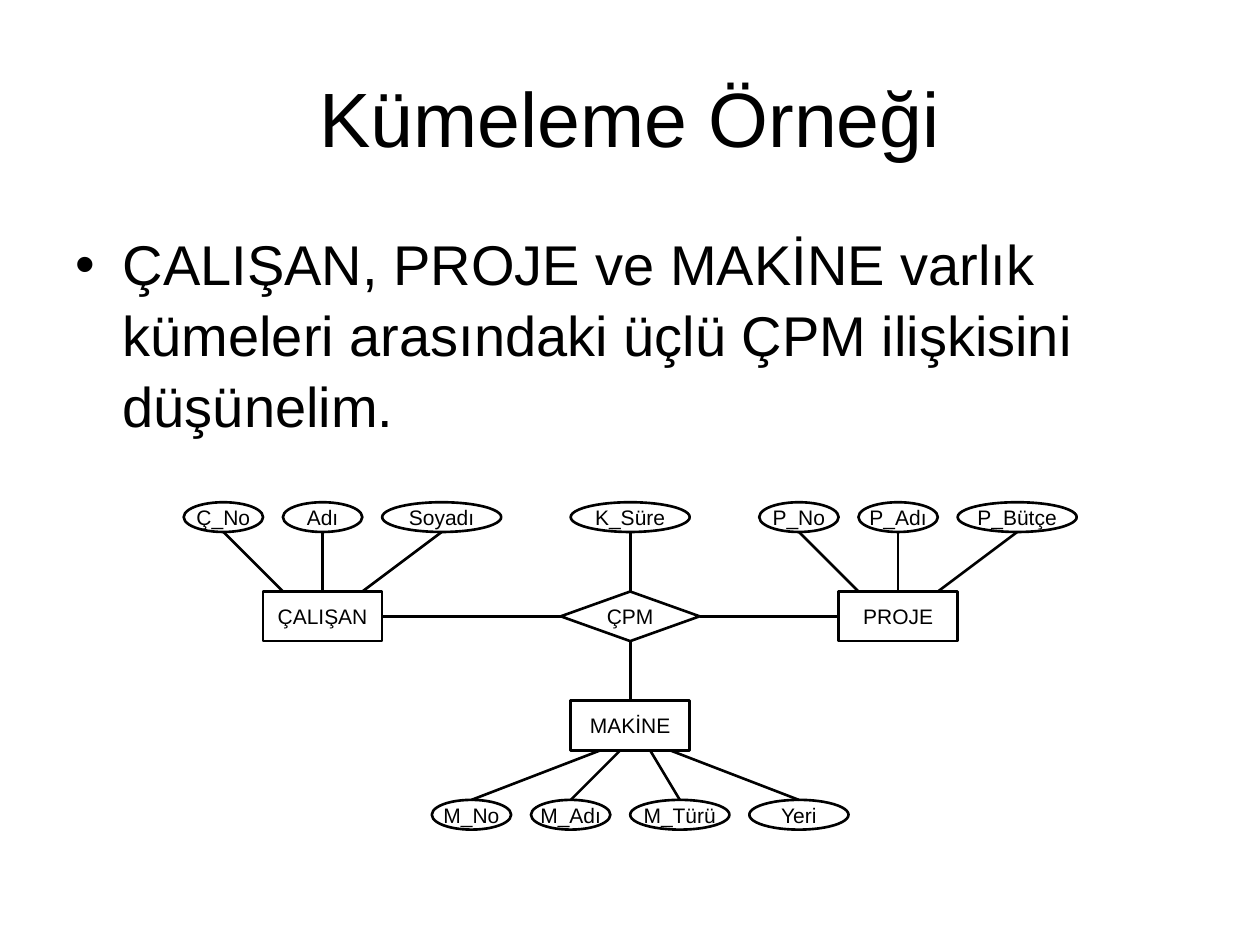
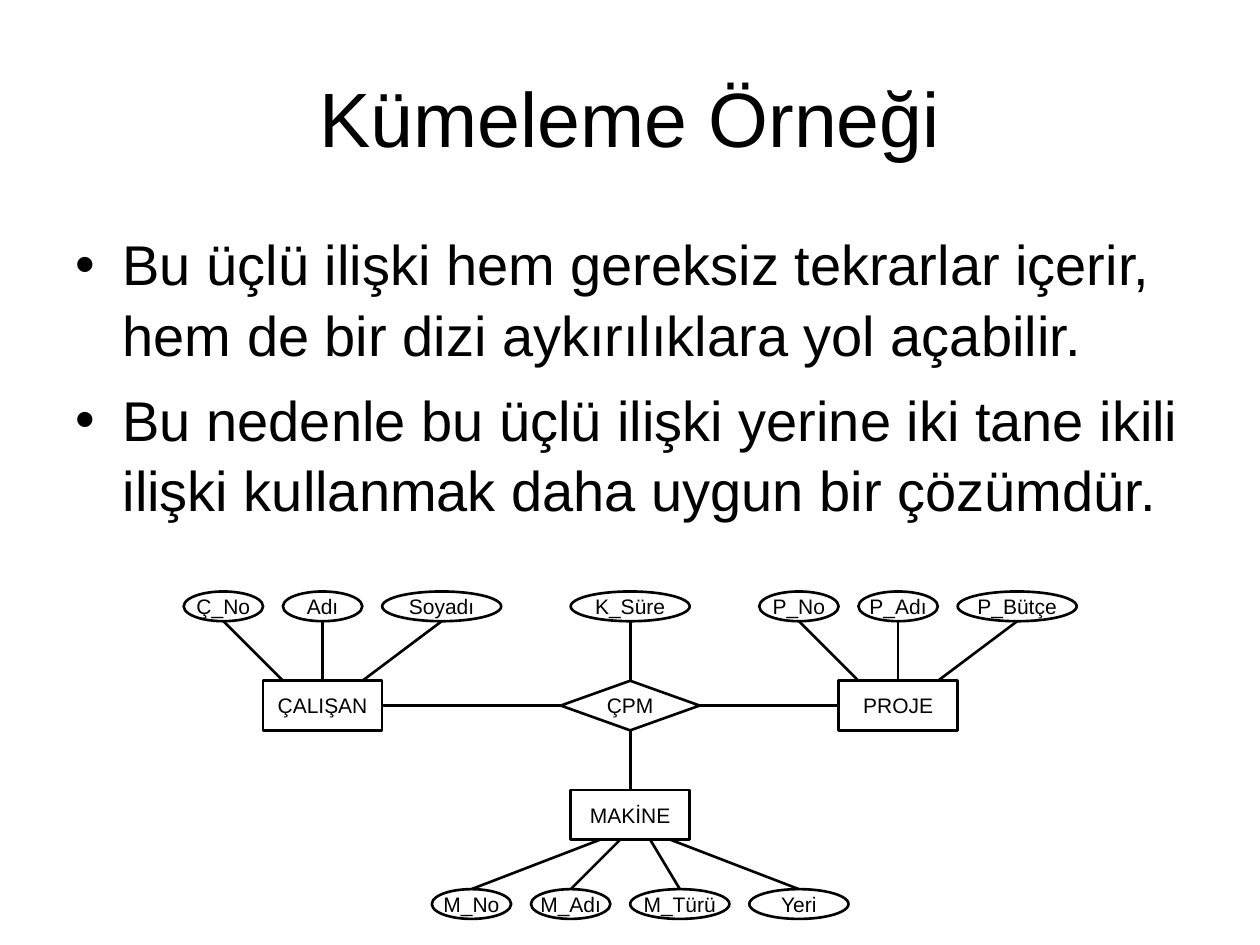
from lxml import etree
from pptx import Presentation
from pptx.dml.color import RGBColor
from pptx.enum import shapes, text
from pptx.oxml import ns
from pptx.util import Pt

COLORS = {"ink": "000000"}
INK = RGBColor.from_string(COLORS["ink"])
FONT = "Arial"
TITLE = "Kümeleme Örneği"
TITLE_BOX = (36, 21.6, 648, 90)
BODY_LEFT, BODY_TOP, BODY_WIDTH = 36, 126, 648
HANGING_INDENT = 27
DIAGRAM_LEFT = 105

# The diagram sits on a square grid; its numbers below count grid cells.
CELL = 5.67
ATTRIBUTE_HEIGHT, ATTRIBUTE_GAP = 3, 2
ENTITY_WIDTH, ENTITY_HEIGHT = 12, 5
RELATION_WIDTH = 14
TOP_ATTRIBUTES, ENTITY_ROW, MACHINE_ROW, BOTTOM_ATTRIBUTES = 0, 9, 20, 30
CENTER = 45
TOP, LEFT, BOTTOM, RIGHT = range(4)

SLIDES = [
    {"bullets": ["ÇALIŞAN, PROJE ve MAKİNE varlık kümeleri arasındaki üçlü "
                 "ÇPM ilişkisini düşünelim."],
     "body_height": 132.5, "diagram_top": 287},
    {"bullets": ["Bu üçlü ilişki hem gereksiz tekrarlar içerir, hem de bir "
                 "dizi aykırılıklara yol açabilir.",
                 "Bu nedenle bu üçlü ilişki yerine iki tane ikili ilişki "
                 "kullanmak daha uygun bir çözümdür."],
     "body_height": 211.7, "diagram_top": 338},
]


def place(shape, box):
    shape.left, shape.top, shape.width, shape.height = map(Pt, box)


def add_run(paragraph, words, size):
    run = paragraph.add_run()
    run.text = words
    run.font.name = FONT
    run.font.size = Pt(size)
    run.font.color.rgb = INK


def add_bullet(paragraph):
    properties = paragraph._p.get_or_add_pPr()
    properties.set("marL", str(Pt(HANGING_INDENT)))
    properties.set("indent", str(-Pt(HANGING_INDENT)))
    color = etree.SubElement(properties, ns.qn("a:buClr"))
    etree.SubElement(color, ns.qn("a:srgbClr"), val=COLORS["ink"])
    etree.SubElement(properties, ns.qn("a:buFont"), typeface=FONT)
    etree.SubElement(properties, ns.qn("a:buChar"), char="•")


def write_title(slide, box):
    title = slide.shapes.title
    place(title, box)
    title.text_frame.vertical_anchor = text.MSO_ANCHOR.MIDDLE
    paragraph = title.text_frame.paragraphs[0]
    paragraph.alignment = text.PP_ALIGN.CENTER
    add_run(paragraph, TITLE, 44)


def write_body(slide, box, bullets):
    frame = slide.shapes.add_textbox(*map(Pt, box)).text_frame
    frame.word_wrap = True
    for index, words in enumerate(bullets):
        paragraph = frame.add_paragraph() if index else frame.paragraphs[0]
        paragraph.space_before = Pt(8)
        paragraph.line_spacing = 1.05
        add_bullet(paragraph)
        add_run(paragraph, words, 32)


class Diagram:
    """Draws an entity-relationship diagram on a grid from its top left corner."""

    def __init__(self, slide, left, top):
        self.shapes = slide.shapes.add_group_shape().shapes
        self.left, self.top = left, top

    def point(self, column, row):
        return Pt(self.left + column * CELL), Pt(self.top + row * CELL)

    def node(self, kind, words, column, row, width, height):
        shape = self.shapes.add_shape(kind, *self.point(column, row),
                                      Pt(width * CELL), Pt(height * CELL))
        shape.shadow.inherit = False
        shape.fill.background()
        shape.line.color.rgb = INK
        shape.line.width = Pt(1.5)
        frame = shape.text_frame
        frame.word_wrap = False
        frame.vertical_anchor = text.MSO_ANCHOR.MIDDLE
        paragraph = frame.paragraphs[0]
        paragraph.alignment = text.PP_ALIGN.CENTER
        add_run(paragraph, words, 12)
        return shape

    def entity(self, words, column, row):
        return self.node(shapes.MSO_SHAPE.FLOWCHART_PROCESS, words,
                         column, row, ENTITY_WIDTH, ENTITY_HEIGHT)

    def line(self, start=(0, 0), end=(0, 0), start_site=None, end_site=None):
        """Join two grid points; a (shape, side) site replaces its point."""
        connector = self.shapes.add_connector(
            shapes.MSO_CONNECTOR.STRAIGHT, *self.point(*start), *self.point(*end))
        if start_site:
            connector.begin_connect(*start_site)
        if end_site:
            connector.end_connect(*end_site)
        connector.line.color.rgb = INK
        connector.line.width = Pt(1.5)
        etree.SubElement(connector._element.spPr, ns.qn("a:effectLst"))

    def attributes(self, owner, owner_column, owner_row, column, row, items):
        """Lay out ovals (name, width, joint on the owner's side) and join them."""
        above = row < owner_row
        oval_edge = row + ATTRIBUTE_HEIGHT if above else row
        owner_edge = owner_row if above else owner_row + ENTITY_HEIGHT
        side = TOP if above else BOTTOM
        for name, width, joint in items:
            self.node(shapes.MSO_SHAPE.OVAL, name, column, row,
                      width, ATTRIBUTE_HEIGHT)
            middle = joint == ENTITY_WIDTH / 2
            self.line((column + width / 2, oval_edge),
                      (owner_column + joint, owner_edge),
                      end_site=(owner, side) if middle else None)
            column += width + ATTRIBUTE_GAP


def draw_diagram(slide, left, top):
    diagram = Diagram(slide, left, top)
    center_column = CENTER - ENTITY_WIDTH / 2
    relation = diagram.node(shapes.MSO_SHAPE.FLOWCHART_DECISION, "ÇPM",
                            CENTER - RELATION_WIDTH / 2, ENTITY_ROW,
                            RELATION_WIDTH, ENTITY_HEIGHT)
    employee = diagram.entity("ÇALIŞAN", 8, ENTITY_ROW)
    project = diagram.entity("PROJE", 66, ENTITY_ROW)
    machine = diagram.entity("MAKİNE", center_column, MACHINE_ROW)

    for entity, entity_side, relation_side in (
            (employee, RIGHT, LEFT), (project, LEFT, RIGHT), (machine, TOP, BOTTOM)):
        diagram.line(start_site=(entity, entity_side),
                     end_site=(relation, relation_side))

    diagram.attributes(employee, 8, ENTITY_ROW, 0, TOP_ATTRIBUTES,
                       [("Ç_No", 8, 2), ("Adı", 8, 6), ("Soyadı", 12, 10)])
    diagram.attributes(project, 66, ENTITY_ROW, 58, TOP_ATTRIBUTES,
                       [("P_No", 8, 2), ("P_Adı", 8, 6), ("P_Bütçe", 12, 10)])
    diagram.attributes(relation, center_column, ENTITY_ROW, center_column,
                       TOP_ATTRIBUTES, [("K_Süre", 12, 6)])
    diagram.attributes(machine, center_column, MACHINE_ROW, 25, BOTTOM_ATTRIBUTES,
                       [("M_No", 8, 3), ("M_Adı", 8, 5),
                        ("M_Türü", 10, 8), ("Yeri", 10, 10)])


def build_slide(presentation, bullets, body_height, diagram_top):
    slide = presentation.slides.add_slide(presentation.slide_layouts[5])
    write_title(slide, TITLE_BOX)
    write_body(slide, (BODY_LEFT, BODY_TOP, BODY_WIDTH, body_height), bullets)
    draw_diagram(slide, DIAGRAM_LEFT, diagram_top)


def main():
    presentation = Presentation()
    presentation.slide_width, presentation.slide_height = Pt(720), Pt(540)
    for content in SLIDES:
        build_slide(presentation, **content)
    presentation.save("out.pptx")


if __name__ == "__main__":
    main()
